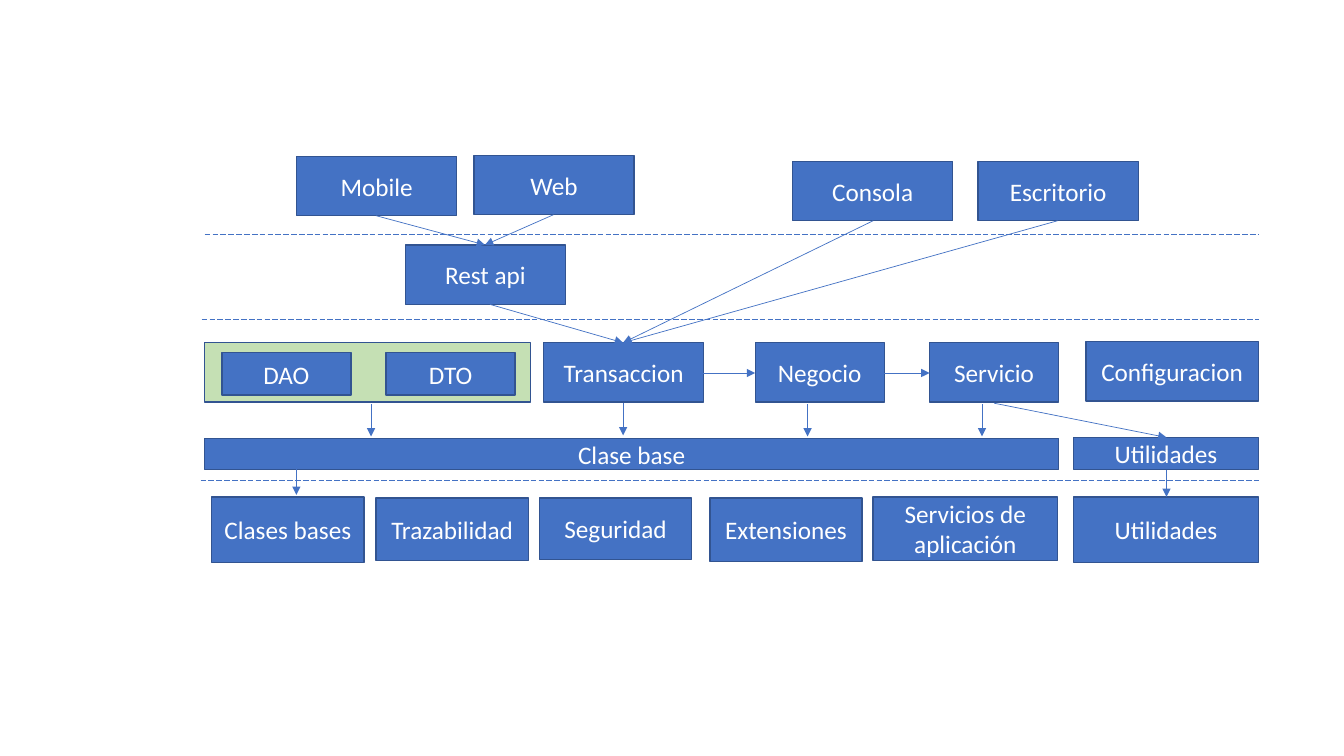
from pptx import Presentation
from pptx.dml.color import RGBColor
from pptx.enum.dml import MSO_LINE_DASH_STYLE as DASH
from pptx.enum.shapes import MSO_CONNECTOR, MSO_SHAPE
from pptx.enum.text import MSO_ANCHOR, PP_ALIGN
from pptx.oxml.ns import qn
from pptx.util import Pt
from lxml.etree import SubElement

PX = 9144  # 100 px to the inch
BLUE, NAVY, GREEN, WHITE = "4472C4", "325491", "C5E0B4", "FFFFFF"

prs = Presentation()
prs.slide_width, prs.slide_height = 1333 * PX, 750 * PX
slide = prs.slides.add_slide(prs.slide_layouts[6])
shapes = slide.shapes


def add_box(label, left, top, width, height, fill=BLUE):
    box = shapes.add_shape(MSO_SHAPE.RECTANGLE, left * PX, top * PX, width * PX, height * PX)
    box.shadow.inherit = False
    box.fill.solid()
    box.fill.fore_color.rgb = RGBColor.from_string(fill)
    box.line.color.rgb = RGBColor.from_string(NAVY)
    box.line.width = Pt(1)
    if label:
        frame = box.text_frame
        frame.word_wrap = True
        frame.vertical_anchor = MSO_ANCHOR.MIDDLE
        text = frame.paragraphs[0]
        text.text = label
        text.alignment = PP_ALIGN.CENTER
        text.font.name, text.font.size = "Calibri", Pt(18)
        text.font.color.rgb = RGBColor.from_string(WHITE)


def add_line(x1, y1, x2, y2, dashed=False):
    line = shapes.add_connector(MSO_CONNECTOR.STRAIGHT, x1 * PX, y1 * PX, x2 * PX, y2 * PX)
    line.line.color.rgb = RGBColor.from_string(BLUE)
    line.line.width = Pt(0.5)
    if dashed:
        line.line.dash_style = DASH.LONG_DASH
    else:
        SubElement(line.line._get_or_add_ln(), qn("a:tailEnd"), type="triangle")
    SubElement(line._element.spPr, qn("a:effectLst"))


# Clients and the API below them
for client, left, top in [("Mobile", 294, 155), ("Web", 470, 154), ("Consola", 786, 160),
                          ("Escritorio", 970, 160), ("Rest api", 402, 243)]:
    add_box(client, left, top, 159, 59)

# Application layer, with the data objects in a green frame
add_box("", 203, 340, 323, 59, GREEN)
for data_object, left in [("DAO", 220), ("DTO", 383)]:
    add_box(data_object, left, 350, 128, 42)
for layer, left, top, width in [("Transaccion", 539, 340, 159), ("Negocio", 749, 340, 128),
                                ("Servicio", 922, 340, 128), ("Configuracion", 1077, 339, 171)]:
    add_box(layer, left, top, width, 59)

# Base classes and utilities
add_box("Clase base", 203, 435, 847, 31)
add_box("Utilidades", 1065, 434, 183, 32)

# Framework libraries
for library, left, top, width, height in [
    ("Clases bases", 210, 493, 151, 65),
    ("Trazabilidad", 373, 494, 151, 62),
    ("Seguridad", 535, 494, 151, 61),
    ("Extensiones", 704, 494, 151, 63),
    ("Servicios de aplicación", 866, 493, 183, 63),
    ("Utilidades", 1065, 493, 183, 65),
]:
    add_box(library, left, top, width, height)

# Dashed layer boundaries
for left, y in [(203, 233), (200, 317), (199, 477)]:
    add_line(left, y, 1249, y, dashed=True)

# Clients to the API, then API and desktop clients to Transaccion
for x, y in [(373, 214), (549, 213)]:
    add_line(x, y, 481, 243)
for x, y in [(486, 302), (866, 219), (1049, 219)]:
    add_line(x, y, 618, 340)

# Transaccion to Negocio to Servicio
for start, end in [(694, 749), (872, 922)]:
    add_line(start, 370, end, 370)

# Application layer down to the base, and the base down to the libraries
for x, top, bottom in [(368, 401, 433), (618, 400, 432), (801, 401, 433), (974, 401, 433),
                       (294, 463, 491), (1157, 466, 493)]:
    add_line(x, top, x, bottom)
add_line(986, 400, 1157, 434)

prs.save("out.pptx")
